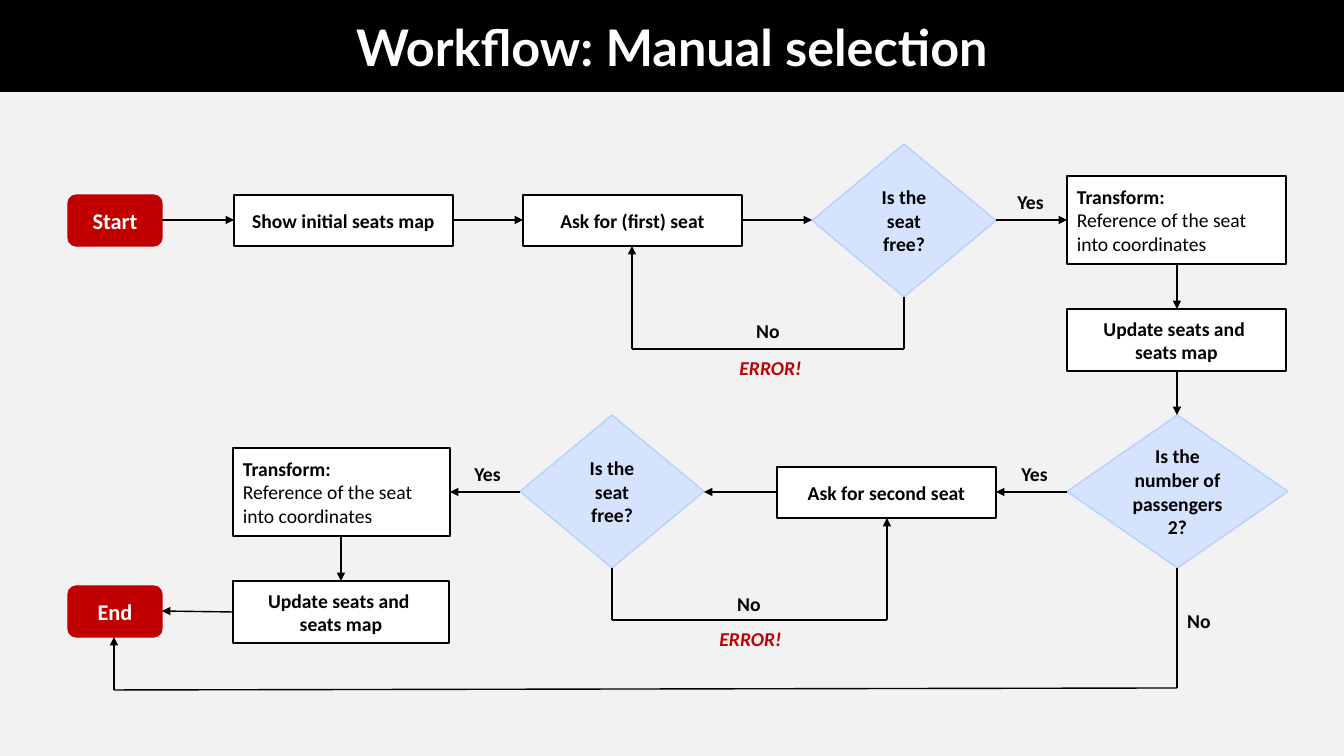
from lxml.etree import SubElement
from pptx import Presentation
from pptx.dml.color import RGBColor
from pptx.enum.shapes import MSO_CONNECTOR as CONNECTOR, MSO_SHAPE as SHAPE
from pptx.enum.text import MSO_ANCHOR as ANCHOR, PP_ALIGN as ALIGN
from pptx.oxml.ns import qn
from pptx.util import Pt

BLACK = RGBColor(0x00, 0x00, 0x00)
WHITE = RGBColor(0xFF, 0xFF, 0xFF)
GREY = RGBColor(0xF2, 0xF2, 0xF2)
RED = RGBColor(0xC0, 0x00, 0x00)
BLUE = RGBColor(0xD5, 0xE3, 0xFF)
BLUE_EDGE = RGBColor(0xB7, 0xCF, 0xFF)
PIXEL = 914400 / 100.8


def scale(*pixels):
    """Turn pixel lengths into whole EMU."""
    return [round(pixel * PIXEL) for pixel in pixels]


def write(shape, lines, size=14, color=BLACK, align=ALIGN.CENTER):
    """Write the lines as paragraphs; left-aligned text is bold in its first line only."""
    frame = shape.text_frame
    frame.text = "\n".join(lines)
    for index, para in enumerate(frame.paragraphs):
        para.alignment = align
        para.font.name = "Calibri"
        para.font.size = Pt(size)
        para.font.color.rgb = color
        para.font.bold = align == ALIGN.CENTER or index == 0


deck = Presentation()
deck.slide_width, deck.slide_height = scale(1344, 756)
page = deck.slides.add_slide(deck.slide_layouts[5])
page.background.fill.solid()
page.background.fill.fore_color.rgb = GREY

title = page.shapes.title
title.left, title.top, title.width, title.height = scale(0, 0, 1344, 92)
title.fill.solid()
title.fill.fore_color.rgb = BLACK
write(title, ["Workflow: Manual selection"], 36, WHITE)
title.text_frame.vertical_anchor = ANCHOR.MIDDLE
title.text_frame.paragraphs[0].font.name = "Lato"

# Each style: preset, fill, edge, text size, text colour, alignment
STEP = (SHAPE.RECTANGLE, WHITE, BLACK, 14, BLACK, ALIGN.CENTER)
DETAIL = (SHAPE.RECTANGLE, WHITE, BLACK, 14, BLACK, ALIGN.LEFT)
CHOICE = (SHAPE.DIAMOND, BLUE, BLUE_EDGE, 14, BLACK, ALIGN.CENTER)
TERMINAL = (SHAPE.ROUNDED_RECTANGLE, RED, RED, 16, WHITE, ALIGN.CENTER)

transform = ["Transform:", "Reference of the seat into coordinates"]
update = ["Update seats and ", "seats map"]
seat_free = ["Is the seat free?"]
nodes = [
    (TERMINAL, (68, 195, 94, 51), ["Start"]),
    (STEP, (234, 195, 219, 51), ["Show initial seats map"]),
    (STEP, (523, 195, 219, 51), ["Ask for (first) seat"]),
    (CHOICE, (812, 144, 184, 153), seat_free),
    (DETAIL, (1067, 176, 219, 88), transform),
    (STEP, (1067, 309, 219, 62), update),
    (CHOICE, (1067, 415, 221, 153), ["Is the number of passengers 2?"]),
    (STEP, (777, 467, 219, 51), ["Ask for second seat"]),
    (CHOICE, (520, 415, 184, 153), seat_free),
    (DETAIL, (233, 448, 217, 88), transform),
    (STEP, (233, 581, 216, 62), update),
    (TERMINAL, (68, 586, 94, 51), ["End"]),
]
for (preset, fill, edge, size, color, align), bounds, lines in nodes:
    node = page.shapes.add_shape(preset, *scale(*bounds))
    node.shadow.inherit = False
    node.fill.solid()
    node.fill.fore_color.rgb = fill
    node.line.color.rgb = edge
    node.line.width = Pt(1)
    node.text_frame.vertical_anchor = ANCHOR.MIDDLE
    write(node, lines, size, color, align)

# Every route ends in an arrowhead
routes = [
    [(162, 220), (234, 220)],
    [(453, 220), (523, 220)],
    [(742, 220), (812, 220)],
    [(996, 220), (1067, 220)],
    [(904, 297), (904, 349), (632, 349), (632, 246)],
    [(1177, 264), (1177, 309)],
    [(1177, 371), (1177, 415)],
    [(1067, 492), (996, 492)],
    [(777, 492), (704, 492)],
    [(612, 568), (612, 620), (887, 620), (887, 518)],
    [(520, 492), (450, 492)],
    [(341, 536), (341, 581)],
    [(233, 612), (162, 611)],
    [(1177, 568), (1177, 688), (114, 690), (114, 637)],
]
for route in routes:
    for start, end in zip(route, route[1:]):
        line = page.shapes.add_connector(CONNECTOR.STRAIGHT, *scale(*start, *end))
        line.line.color.rgb = BLACK
        line.line.width = Pt(1)
        properties = line.line._get_or_add_ln()
        SubElement(properties.getparent(), qn("a:effectLst"))
    SubElement(properties, qn("a:tailEnd"), type="triangle")

labels = [
    ("Yes", 1003, 185, 55),
    ("Yes", 1007, 457, 55),
    ("Yes", 460, 457, 55),
    ("No", 716, 314, 104),
    ("No", 697, 587, 104),
    ("No", 1147, 604, 104),
    ("ERROR!", 729, 351, 83),
    ("ERROR!", 709, 622, 83),
]
for word, left, top, width in labels:
    label = page.shapes.add_textbox(*scale(left, top, width, 34))
    is_error = word == "ERROR!"
    label.text_frame.word_wrap = not is_error
    write(label, [word], color=RED if is_error else BLACK)
    label.text_frame.paragraphs[0].font.italic = is_error

deck.save("out.pptx")
